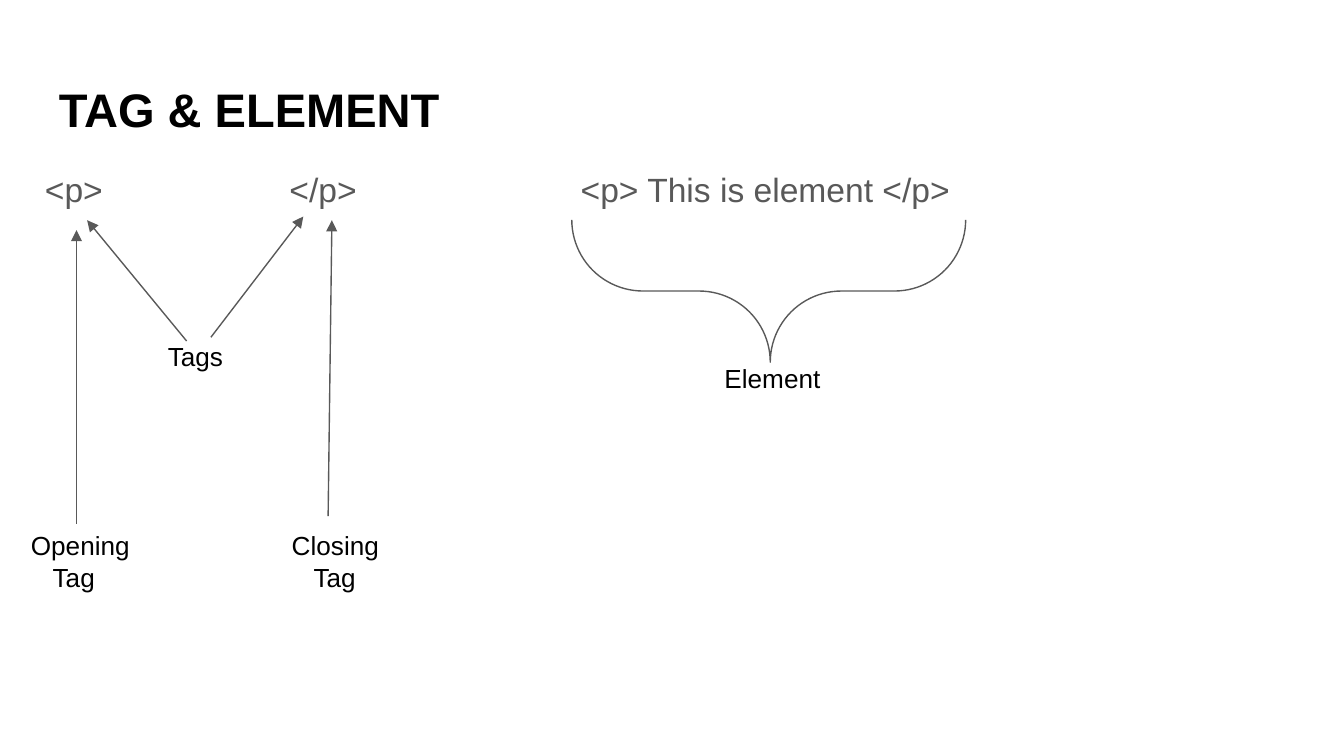
import pptx
import pptx.dml.color
import pptx.enum.shapes
import pptx.enum.text
import pptx.oxml
import pptx.oxml.ns
import pptx.util

Pt = pptx.util.Pt
Anchor = pptx.enum.text.MSO_ANCHOR
COLORS = {"black": "000000", "gray": "595959"}
FORMATS = {
    "title": {"size": Pt(25.2), "bold": True},
    "code": {"size": Pt(18), "bold": False},
    "label": {"size": Pt(14), "bold": False},
}
TAG_INDENT = 11.67
CODE_TABS = (131, 287)


def rgb(name):
    """Return the named colour."""
    return pptx.dml.color.RGBColor.from_string(COLORS[name])


def add_text(slide, box, lines, style, color="black", anchor=Anchor.TOP):
    """Add a wrapped text box with one paragraph per line and return its paragraphs."""
    frame = slide.shapes.add_textbox(*map(Pt, box)).text_frame
    layout = {"word_wrap": True, "vertical_anchor": anchor}
    layout.update({f"margin_{side}": Pt(7.2) for side in ("left", "top", "right", "bottom")})
    for name, value in layout.items():
        setattr(frame, name, value)
    frame.text = "\n".join(lines)
    for paragraph in frame.paragraphs:
        for run in paragraph.runs:
            for name, value in {"name": "Arial", **FORMATS[style]}.items():
                setattr(run.font, name, value)
            run.font.color.rgb = rgb(color)
    return frame.paragraphs


def add_code_line(slide, box, pieces):
    """Add the code samples as one line spread over tab stops."""
    paragraph = add_text(slide, box, ["\t".join(pieces)], "code", "gray")[0]
    paragraph.line_spacing = 1.15
    properties = paragraph._p.get_or_add_pPr()
    tab_list = pptx.oxml.parse_xml(f"<a:tabLst {pptx.oxml.ns.nsdecls('a')}/>")
    for position in CODE_TABS:
        tab = pptx.oxml.parse_xml(f'<a:tab {pptx.oxml.ns.nsdecls("a")} pos="{Pt(position)}" algn="l"/>')
        tab_list.append(tab)
    properties.append(tab_list)


def add_tag_label(slide, left, word):
    """Add a two-line label whose second line is indented."""
    paragraphs = add_text(slide, (left, 276.5, 555, 48), [word, "Tag"], "label")
    properties = paragraphs[1]._p.get_or_add_pPr()
    for name, value in {"marL": Pt(TAG_INDENT), "indent": 0}.items():
        properties.set(name, str(value))


def style_line(line):
    """Give a line the thin gray look."""
    line.color.rgb = rgb("gray")
    line.width = Pt(0.75)


def add_arrow(slide, start, end):
    """Add a straight arrow pointing at its end."""
    straight = pptx.enum.shapes.MSO_CONNECTOR.STRAIGHT
    connector = slide.shapes.add_connector(straight, *map(Pt, start + end))
    style_line(connector.line)
    namespace = pptx.oxml.ns.nsdecls("a")
    connector.line._get_or_add_ln().append(pptx.oxml.parse_xml(f'<a:tailEnd {namespace} type="triangle"/>'))
    connector._element.spPr.append(pptx.oxml.parse_xml(f"<a:effectLst {namespace}/>"))


def add_brace(slide, box):
    """Add a brace turned to open upwards."""
    shape = slide.shapes.add_shape(pptx.enum.shapes.MSO_SHAPE.LEFT_BRACE, *map(Pt, box))
    shape.rotation = 270
    shape.adjustments[0] = 0.5
    shape.adjustments[1] = 0.504
    shape.shadow.inherit = False
    shape.fill.background()
    style_line(shape.line)


def main():
    """Build the slide and save it."""
    presentation = pptx.Presentation()
    presentation.slide_width, presentation.slide_height = Pt(720), Pt(405)
    slide = presentation.slides.add_slide(presentation.slide_layouts[6])

    add_text(slide, (24.5, 35, 671, 45.5), ["TAG & ELEMENT"], "title", anchor=Anchor.BOTTOM)
    add_code_line(slide, (17, 80.3, 671, 269), ["<p>", "</p>", "<p> This is element </p>"])

    arrows = [
        ((100, 182.7), (46.7, 118)),
        ((113, 180.7), (162.5, 116)),
        ((41, 280.5), (41, 123.3)),
        ((175.8, 276.5), (177.8, 118)),
    ]
    for start, end in arrows:
        add_arrow(slide, start, end)

    add_text(slide, (82.8, 175.2, 564, 31.5), ["Tags"], "label")
    for left, word in ((9.4, "Opening"), (149.2, "Closing")):
        add_tag_label(slide, left, word)

    add_brace(slide, (373.7, 50.4, 76.3, 211))
    add_text(slide, (381, 186.7, 325, 31.5), ["Element"], "label")
    presentation.save("out.pptx")


if __name__ == "__main__":
    main()
